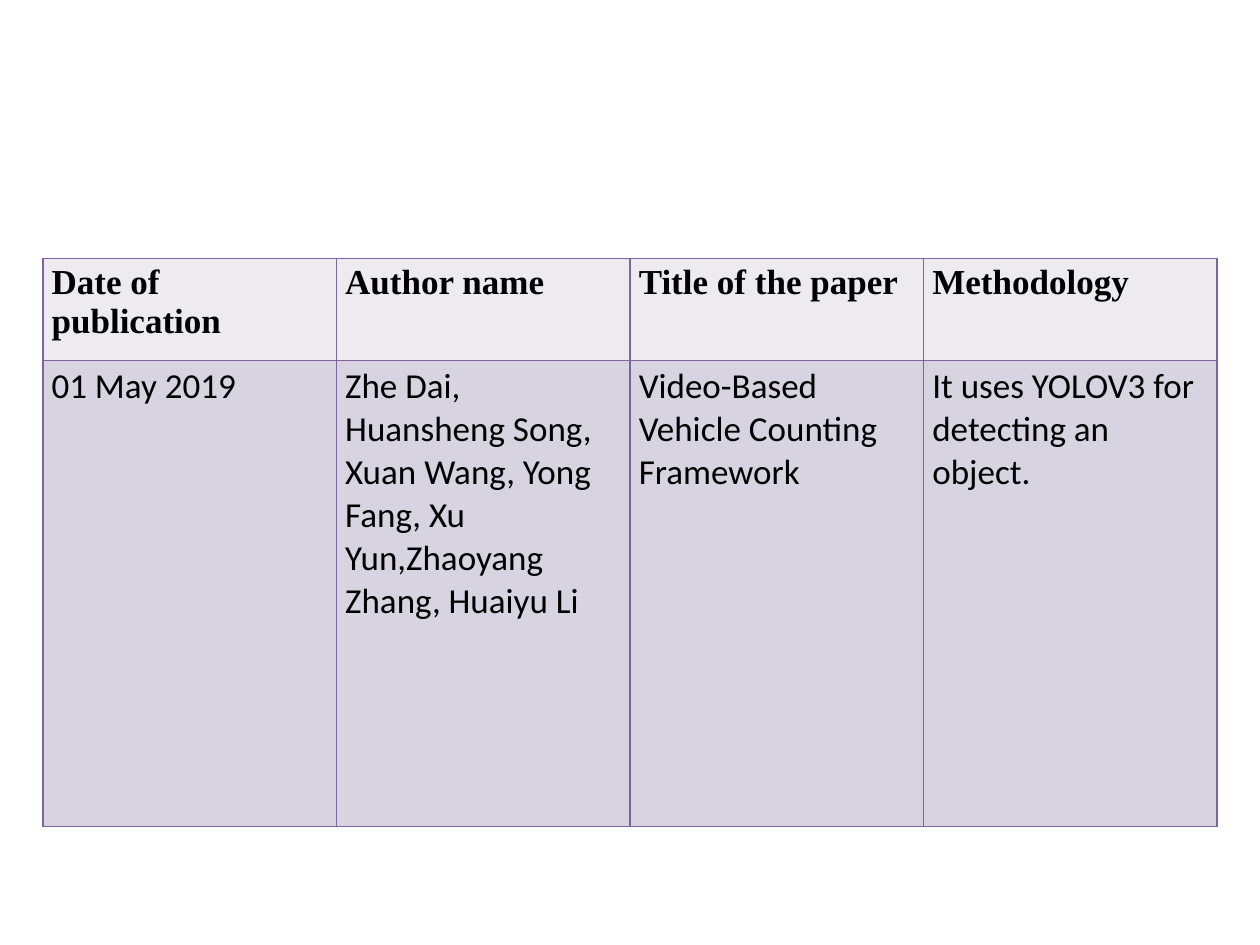
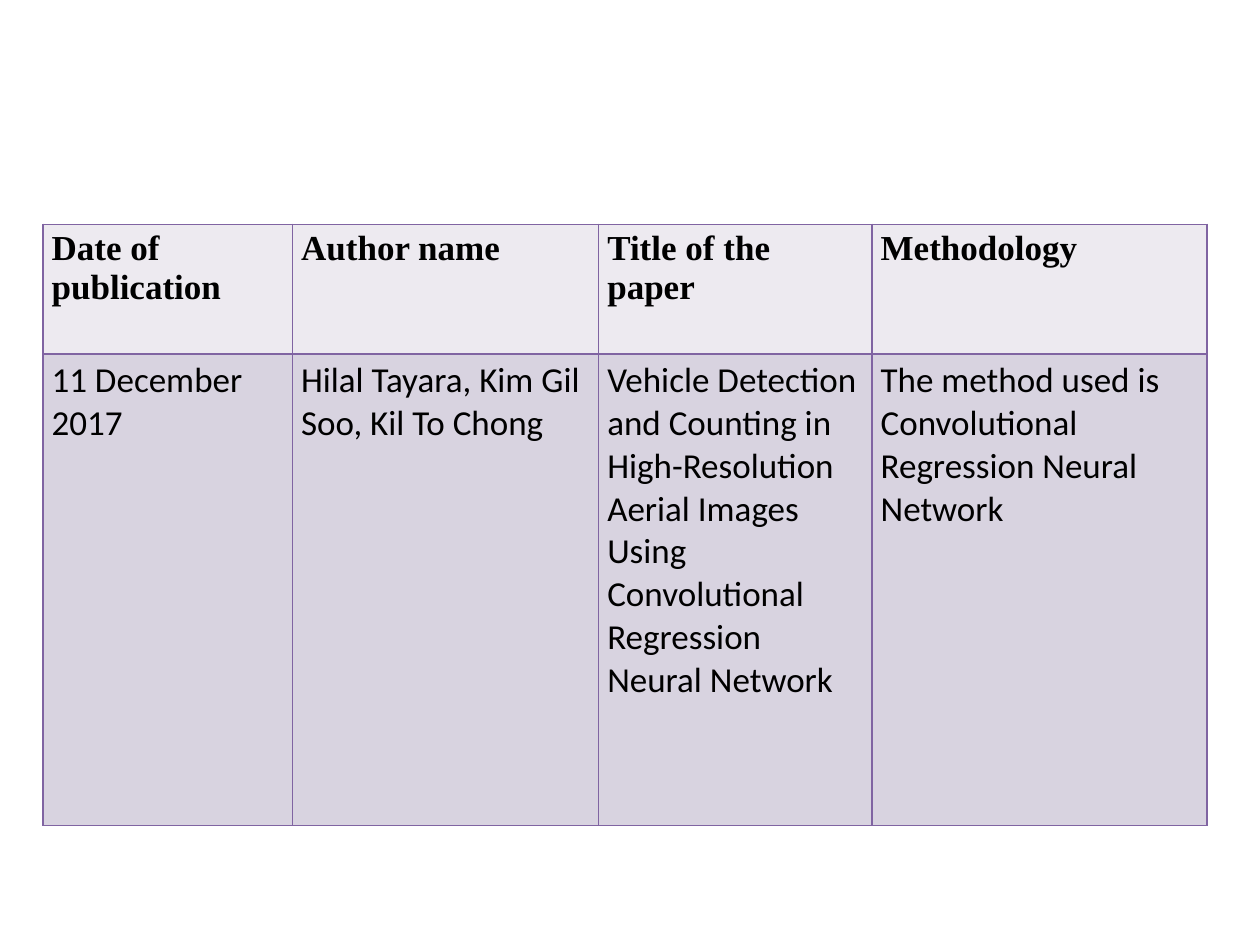
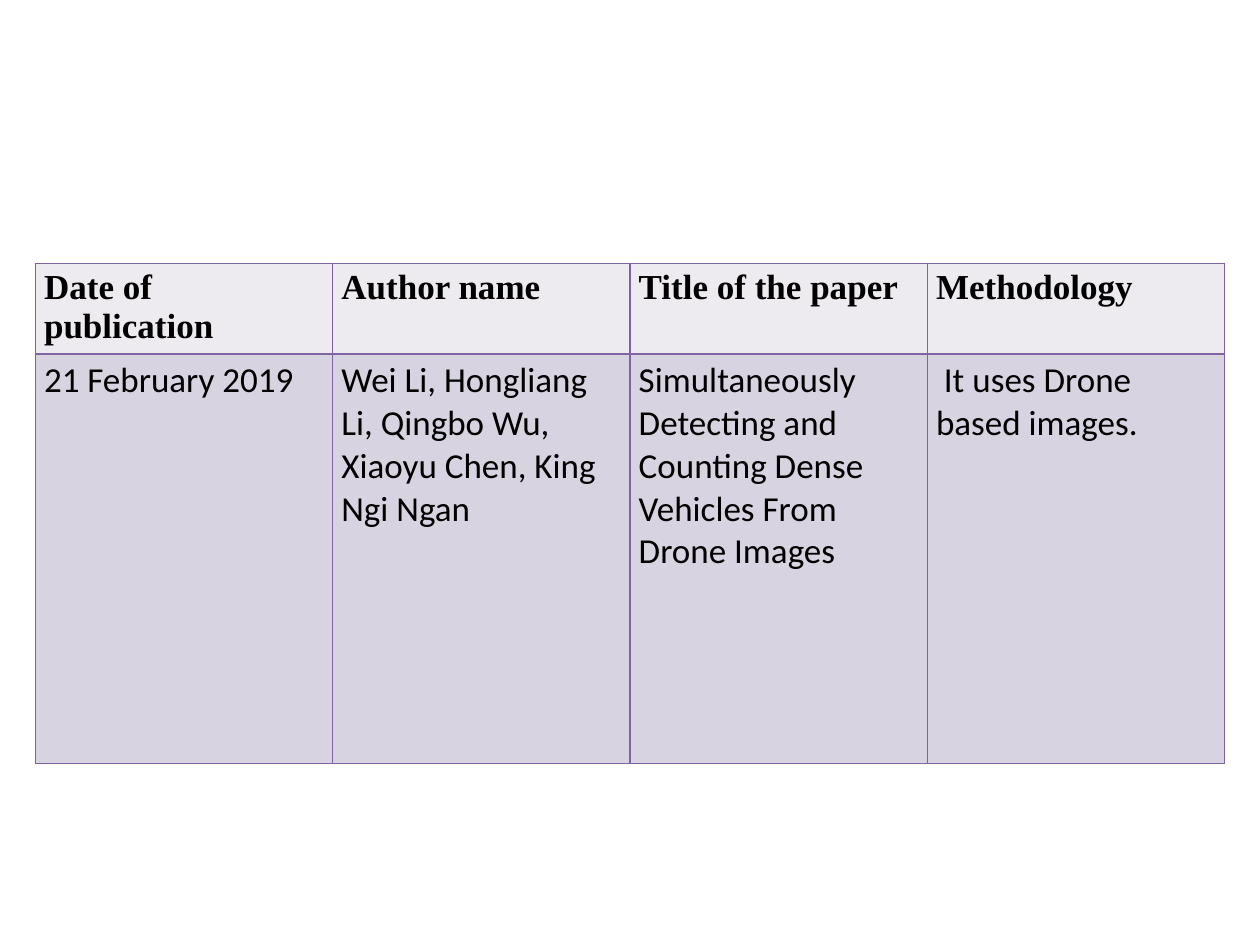
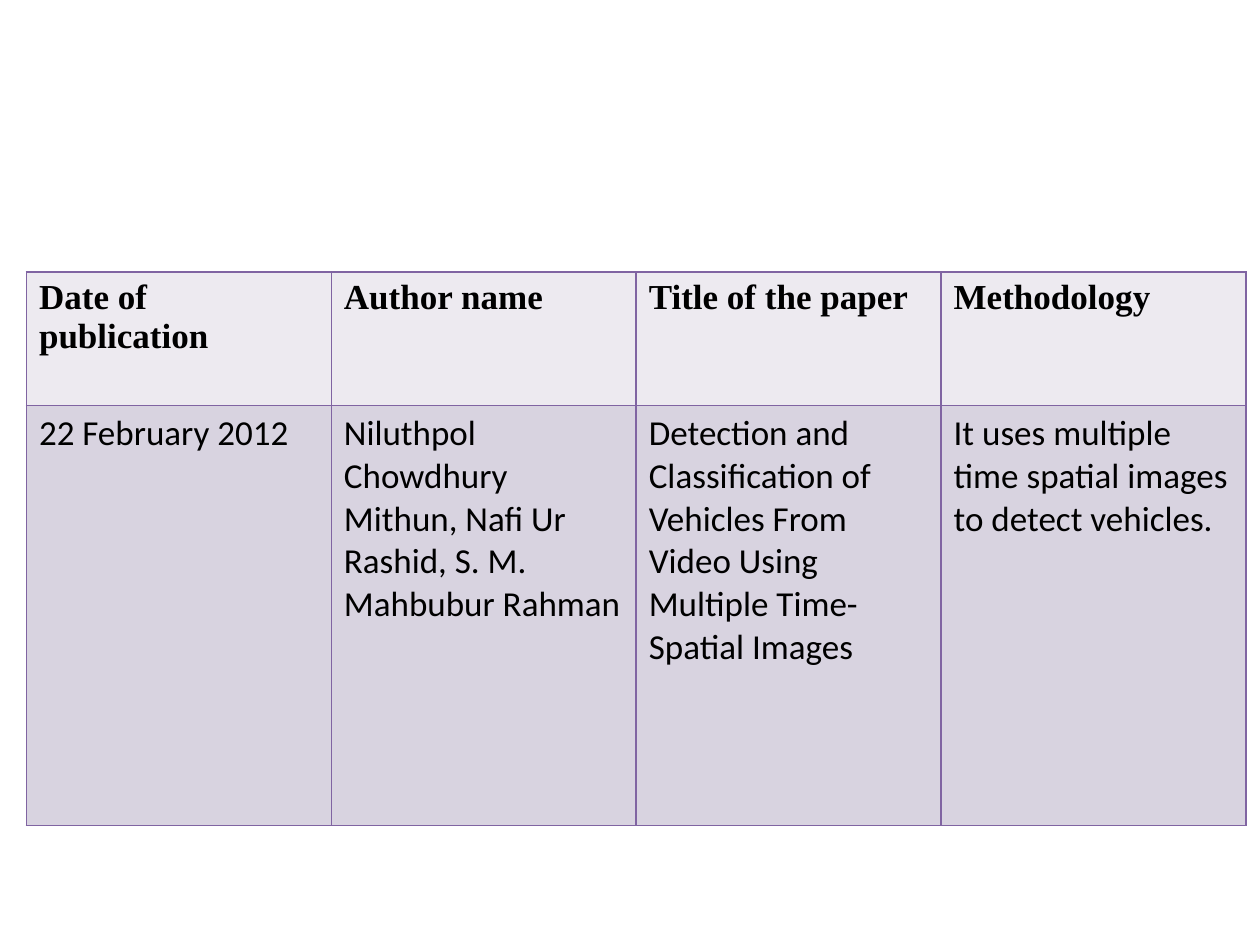
"""Build four literature survey slides, each with one table about a paper."""
from lxml import etree
from pptx import Presentation
from pptx.dml.color import RGBColor
from pptx.oxml.ns import qn
from pptx.util import Inches, Pt

COLORS = {"head": "EDEAF0", "body": "D8D3E0", "border": "8064A2", "text": "000000"}
HEADINGS = ["Date of publication", "Author name", "Title of the paper", "Methodology"]
NARROW, NORMAL = (0.07, 0.04), (0.1, 0.05)
PAPERS = [
    {"at": (0.34, 2.05), "cols": [2.33] * 4, "rows": [0.81, 3.7], "inset": NARROW,
     "cells": ["01 May 2019\u00a0",
               "Zhe Dai, Huansheng Song, Xuan Wang, Yong Fang, Xu Yun,Zhaoyang Zhang, Huaiyu Li",
               "Video-Based Vehicle Counting Framework",
               "It uses YOLOV3 for detecting an object."]},
    {"at": (0.34, 1.78), "cols": [1.98, 2.43, 2.17, 2.66], "rows": [1.03, 3.74], "inset": NARROW,
     "cells": ["11 December 2017\u00a0",
               "Hilal Tayara, Kim Gil Soo, Kil To Chong",
               "Vehicle Detection and Counting in High-Resolution Aerial Images "
               "Using Convolutional Regression Neural Network",
               "The method used is Convolutional Regression Neural Network"]},
    {"at": (0.28, 2.09), "cols": [2.36] * 4, "rows": [0.72, 3.25], "inset": NARROW,
     "cells": ["21 February 2019",
               "Wei Li, Hongliang Li, Qingbo Wu, Xiaoyu Chen, King Ngi Ngan",
               "Simultaneously Detecting and Counting Dense Vehicles From Drone Images",
               "\u00a0It uses Drone based images."]},
    {"at": (0.21, 2.16), "cols": [2.42] * 4, "rows": [1.06, 3.33], "inset": NORMAL,
     "cells": ["22 February 2012\u00a0",
               "Niluthpol Chowdhury Mithun, Nafi Ur Rashid, S. M. Mahbubur Rahman",
               "Detection and Classification of Vehicles From Video "
               "Using Multiple Time-Spatial Images",
               "It uses multiple time spatial images to detect vehicles."]},
]
STYLES = [
    ("head", {"name": "Times New Roman", "size": Pt(20), "bold": True}),
    ("body", {"name": "Calibri", "size": Pt(20), "bold": False}),
]


def add_borders(cell):
    tc_pr = cell._tc.get_or_add_tcPr()
    for side in ("lnL", "lnR", "lnT", "lnB"):
        ln = etree.SubElement(tc_pr, qn(f"a:{side}"), w=str(Pt(1)))
        fill = etree.SubElement(ln, qn("a:solidFill"))
        etree.SubElement(fill, qn("a:srgbClr"), val=COLORS["border"])


def fill_cell(cell, text, inset, fill, font):
    add_borders(cell)
    cell.fill.solid()
    cell.fill.fore_color.rgb = RGBColor.from_string(COLORS[fill])
    cell.margin_left = cell.margin_right = Inches(inset[0])
    cell.margin_top = cell.margin_bottom = Inches(inset[1])
    r = cell.text_frame.paragraphs[0].add_run()
    r.text = text
    for key, value in font.items():
        setattr(r.font, key, value)
    r.font.color.rgb = RGBColor.from_string(COLORS["text"])


def add_paper(prs, paper):
    slide = prs.slides.add_slide(prs.slide_layouts[6])
    cols, rows = paper["cols"], paper["rows"]
    box = (*paper["at"], sum(cols), sum(rows))
    table = slide.shapes.add_table(len(rows), len(cols), *map(Inches, box)).table
    for col, width in zip(table.columns, cols):
        col.width = Inches(width)
    for row, height, texts, style in zip(table.rows, rows, (HEADINGS, paper["cells"]), STYLES):
        row.height = Inches(height)
        for cell, text in zip(row.cells, texts):
            fill_cell(cell, text, paper["inset"], *style)


prs = Presentation()
prs.slide_width, prs.slide_height = Inches(10), Inches(7.5)
for paper in PAPERS:
    add_paper(prs, paper)
prs.save("out.pptx")
